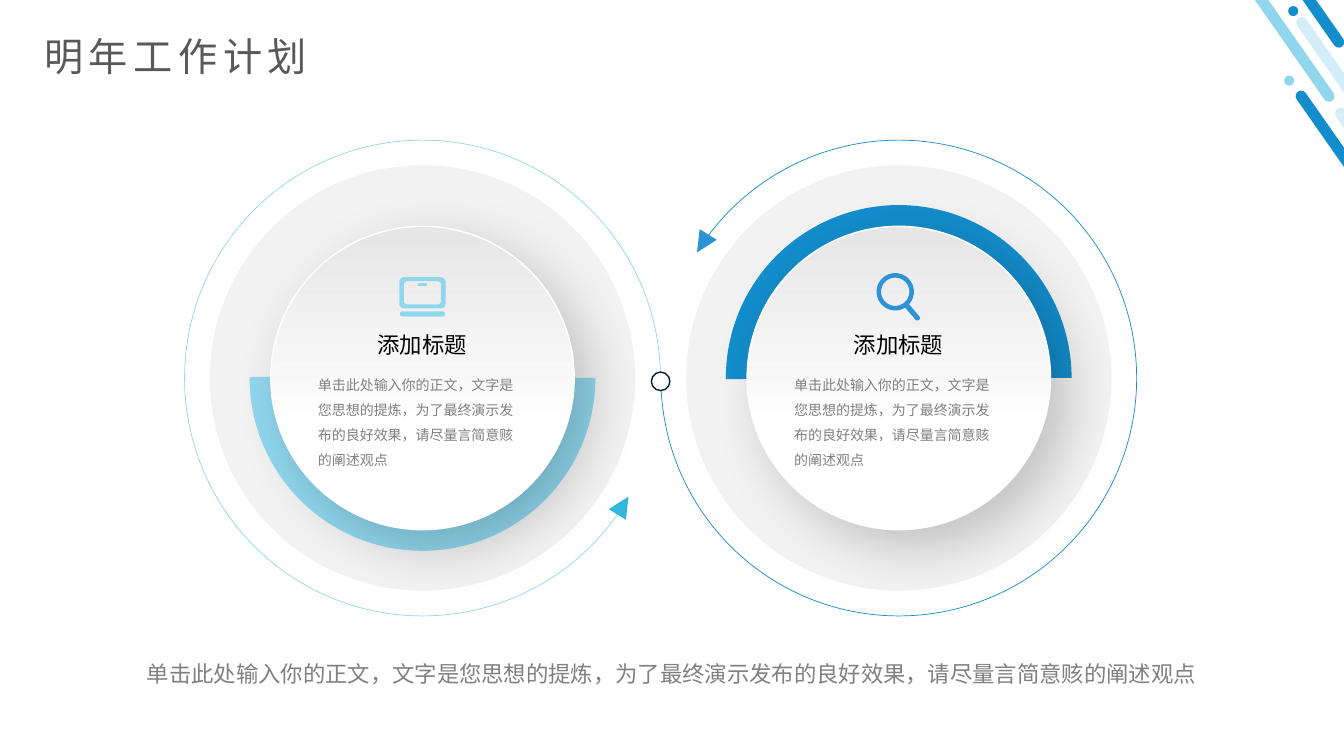
from math import cos, radians, sin
from lxml.etree import SubElement
from pptx import Presentation
from pptx.dml.color import RGBColor
from pptx.enum.shapes import MSO_SHAPE as Shape
from pptx.enum.text import MSO_AUTO_SIZE as Fit, PP_ALIGN as Align
from pptx.oxml.ns import qn
from pptx.util import Emu, Pt

COLS, ROWS = 160, 90
CELL = 76200
FONT = "Noto Sans CJK SC"
SKY, BLUE, PALE = "90D7EE", "138DCC", "D3EEF9"
BODY = "单击此处输入你的正文，文字是您思想的提炼，为了最终演示发布的良好效果，请尽量言简意赅的阐述观点"


def rgb(code):
    return RGBColor.from_string(code)


def grid(cells):
    return Emu(round(cells * CELL))


def arc_points(cx, cy, radius, start=0, end=360, step=6):
    return [(cx + radius * cos(radians(a)), cy + radius * sin(radians(a)))
            for a in range(start, end + 1, step)]


def rounded_box(cx, cy, w, h, radius):
    dx, dy = w / 2 - radius, h / 2 - radius
    corners = [(dx, dy), (-dx, dy), (-dx, -dy), (dx, -dy)]
    return [point for i, (x, y) in enumerate(corners)
            for point in arc_points(cx + x, cy + y, radius, 90 * i, 90 * i + 90)]


def laptop(cx, cy):
    return [rounded_box(cx, cy + dy, w, h, radius) for dy, w, h, radius in (
        (-10.14, 5.52, 3.72, 0.6), (-10.14, 4.44, 2.76, 0.42),
        (-7.62, 5.4, 0.6, 0.3), (-11.1, 1.08, 0.36, 0.18))]


def magnifier(cx, cy):
    x, y = cx - 0.42, cy - 10.26
    rim = arc_points(x, y, 2.22, 58, 402, 4)
    handle = arc_points(x + 2.64, y + 3.12, 0.3, -40, 140, 10)
    return [rim + handle, arc_points(x, y, 1.68)]


class Deck:
    def __init__(self):
        self.prs = Presentation()
        self.prs.slide_width, self.prs.slide_height = grid(COLS), grid(ROWS)
        self.slide = self.prs.slides.add_slide(self.prs.slide_layouts[6])
        self.shapes = self.slide.shapes

    def paint(self, sp, fill=None, line=None, width=1):
        sp.shadow.inherit = False
        if fill:
            sp.fill.solid()
            sp.fill.fore_color.rgb = rgb(fill)
        else:
            sp.fill.background()
        if line:
            sp.line.color.rgb = rgb(line)
            sp.line.width = Pt(width)
        else:
            sp.line.fill.background()
        return sp

    def shape(self, kind, cx, cy, w, h, fill=None, line=None, width=1,
              turn=0, adjust=(), parent=None):
        sp = (parent or self.slide).shapes.add_shape(
            kind, grid(cx - w / 2), grid(cy - h / 2), grid(w), grid(h))
        for i, value in enumerate(adjust):
            sp.adjustments[i] = value
        sp.rotation = turn
        return self.paint(sp, fill, line, width)

    def circle(self, cx, cy, size, fill, **style):
        return self.shape(Shape.OVAL, cx, cy, size, size, fill, **style)

    def sweep(self, kind, cx, cy, size, start, end, **style):
        return self.shape(kind, cx, cy, size, size,
                          adjust=(start * 0.6, end * 0.6), **style)

    def knob(self, cx, cy, size):
        sp = self.circle(cx, cy, size, "FFFFFF", line="FFFFFF")
        sp.fill.gradient()
        sp.fill.gradient_angle = 270
        for stop, (place, code) in zip(sp.fill.gradient_stops,
                                       ((0, "E6E6E6"), (0.67, "FFFFFF"))):
            stop.position = place
            stop.color.rgb = rgb(code)
        effects = sp._element.spPr.find(qn("a:effectLst"))
        shadow = SubElement(effects, qn("a:outerShdw"), blurRad=str(Pt(38)),
                            dist=str(Pt(16)), dir="2700000", algn="tl", rotWithShape="0")
        color = SubElement(shadow, qn("a:srgbClr"), val="000000")
        SubElement(color, qn("a:alpha"), val="20000")

    def outline(self, contours, fill):
        paths = [[(grid(x), grid(y)) for x, y in contour] for contour in contours]
        builder = self.shapes.build_freeform(*paths[0][0])
        for i, path in enumerate(paths):
            if i:
                builder.move_to(*path[0])
            builder.add_line_segments(path[1:], close=True)
        self.paint(builder.convert_to_shape(), fill)

    def text(self, words, cx, top, w, h, size, color, align=None,
             wrap=True, grow=False, body=False, spacing=0):
        box = self.shapes.add_textbox(grid(cx - w / 2), grid(top), grid(w), grid(h))
        tf = box.text_frame
        tf.word_wrap = wrap
        tf.auto_size = Fit.SHAPE_TO_FIT_TEXT if grow else Fit.NONE
        p = tf.paragraphs[0]
        p.text = words
        p.alignment = align
        if body:
            p.line_spacing = 1.5
            p.space_before = Pt(13.3)
        p.font.size = Pt(size)
        p.font.color.rgb = rgb(color)
        p.font.name = FONT
        style = p._p.pPr.find(qn("a:defRPr"))
        SubElement(style, qn("a:ea"), typeface=FONT)
        if spacing:
            style.set("spc", str(spacing * 100))

    def corner(self):
        group = self.shapes.add_group_shape()
        for cx, cy, length, color in (
                (162.06, 21.66, 26.28, BLUE), (166.74, 23.7, 26.28, PALE),
                (149.1, -1.56, 33.12, SKY), (164.1, 15.72, 33.12, PALE),
                (152.22, -5.22, 26.28, BLUE)):
            self.shape(Shape.ROUNDED_RECTANGLE, cx, cy, 1.32, length, color,
                       turn=325, adjust=(0.5,), parent=group)
        for cx, cy, color in ((153.48, 9.6, SKY), (153.96, 1.32, BLUE)):
            self.circle(cx, cy, 1.2, color, parent=group)

    def dial(self, cx, cy, color, pie, ring, icon, icon_color):
        self.circle(cx, cy, 50.64, "F2F2F2")
        self.sweep(Shape.PIE, cx, cy, 41.16, *pie, fill=color)
        self.knob(cx, cy, 36.12)
        self.sweep(Shape.ARC, cx, cy, 56.64, *ring, line=color, width=0.5)
        self.outline(icon(cx, cy), icon_color)
        self.text("添加标题", cx, 38.88, 13.08, 4.44, 16, "000000", wrap=False, grow=True)
        self.text(BODY, cx, 43.2, 27.24, 11.52, 10, "808080", body=True)


def main():
    deck = Deck()
    deck.corner()
    deck.text("明年工作计划", 82.2, 3.24, 156.24, 6.84, 28, "595959", grow=True, spacing=4)
    deck.dial(50.3, 45, SKY, (0, 180.39), (34.55, 0), laptop, SKY)
    deck.dial(107, 45, BLUE, (179.61, 0), (216.95, 180), magnifier, "2D92D6")
    deck.circle(78.65, 45.4, 2.2, "FFFFFF", line="011D3E")
    for cx, cy, turn, color in ((74.16, 60.18, 32, "31B7DA"), (83.64, 28.98, 212, "2D92D6")):
        deck.shape(Shape.ISOSCELES_TRIANGLE, cx, cy, 2.4, 2.52, color, turn=turn)
    deck.text(BODY, 80, 76.44, 137.88, 11.52, 16, "808080", align=Align.CENTER, body=True)
    deck.prs.save("out.pptx")


if __name__ == "__main__":
    main()
